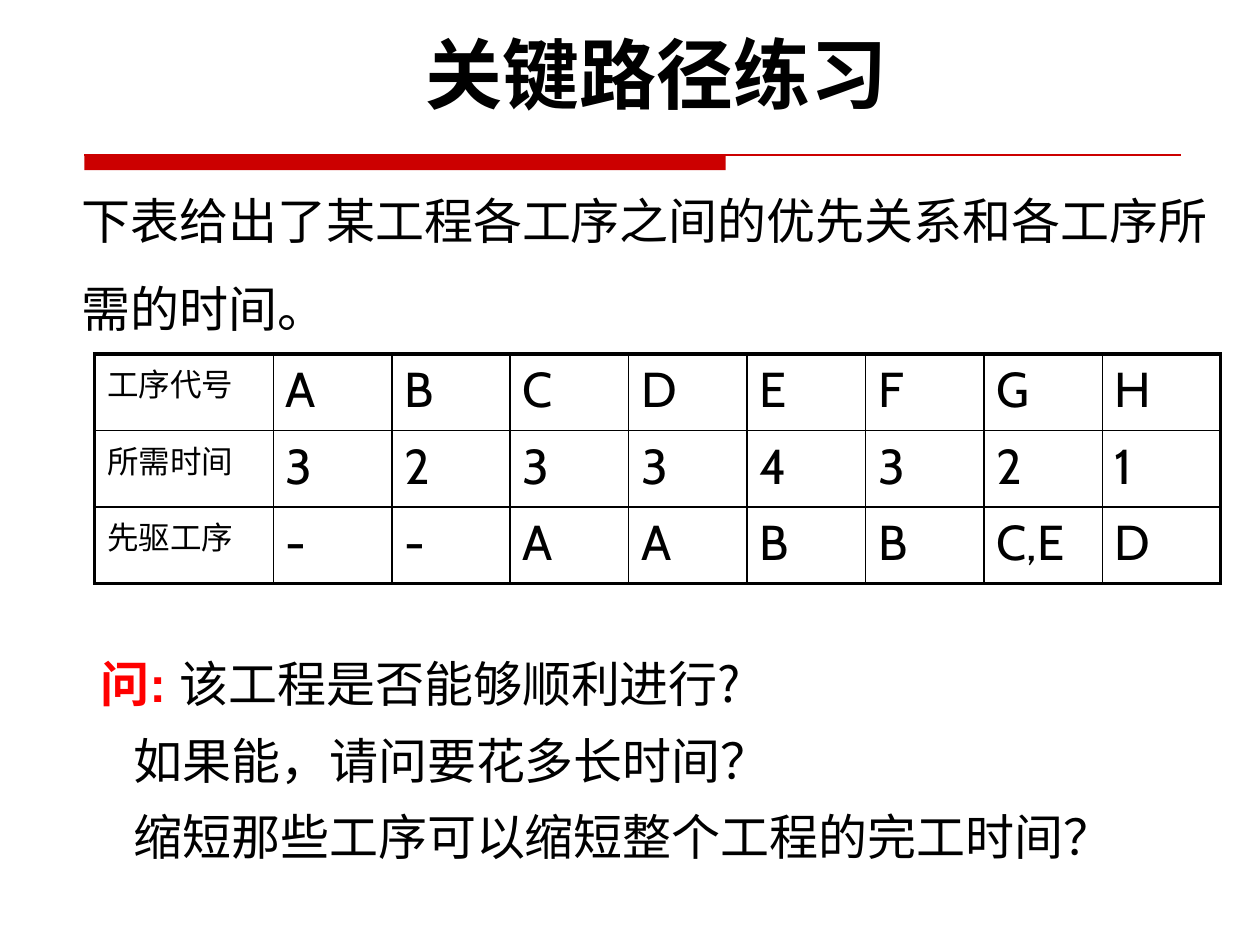
import dataclasses

import pptx
import pptx.dml.color
import pptx.enum.shapes
import pptx.enum.text
import pptx.oxml
import pptx.oxml.ns
import pptx.util

Align = pptx.enum.text.PP_ALIGN
Anchor = pptx.enum.text.MSO_ANCHOR
Pt = pptx.util.Pt
NS = pptx.oxml.ns.nsdecls("a")


@dataclasses.dataclass
class Theme:
    ink: str = "000000"
    rule: str = "CC0000"
    ask: str = "FF0000"
    head: int = 44
    text: int = 28
    label: int = 18
    latin: str = "Cabin"
    plain: str = "Arial"
    han: str = "Noto Sans CJK SC"
    thin: float = 1
    thick: float = 2.25


def tint(code):
    return pptx.dml.color.RGBColor.from_string(code)


def element(xml):
    return pptx.oxml.parse_xml(xml)


def write(para, text, *, size, font, color, han, bold=False):
    """Add one run with its format to a paragraph."""
    run = para.add_run()
    run.text = text
    run.font.size = Pt(size)
    run.font.name = font
    run.font.bold = bold
    run.font.color.rgb = tint(color)
    run.font._element.find(pptx.oxml.ns.qn("a:latin")).addnext(
        element(f'<a:ea {NS} typeface="{han}"/>'))


class Page:
    """Style and current slide; lengths are in a grid of 100 columns by 75 rows."""

    def __init__(self, deck, theme):
        self.theme = theme
        self.unit = deck.slide_width / 100
        self.slide = deck.slides.add_slide(deck.slide_layouts[1])

    def span(self, *cells):
        return [round(cell * self.unit) for cell in cells]

    def place(self, shape, box, anchor):
        shape.left, shape.top, shape.width, shape.height = self.span(*box)
        frame = shape.text_frame
        frame.word_wrap = True
        frame.auto_size = pptx.enum.text.MSO_AUTO_SIZE.NONE
        frame.vertical_anchor = anchor
        return frame

    def put(self, para, text, **style):
        base = dict(size=self.theme.text, font=self.theme.han,
                    color=self.theme.ink, han=self.theme.han)
        write(para, text, **{**base, **style})

    def title(self, text, box):
        para = self.place(self.slide.shapes.title, box, Anchor.MIDDLE).paragraphs[0]
        para.alignment = Align.CENTER
        self.put(para, text, size=self.theme.head, font=self.theme.latin, bold=True)

    def intro(self, text, box):
        shape = self.slide.shapes.add_textbox(0, 0, 0, 0)
        para = self.place(shape, box, Anchor.BOTTOM).paragraphs[0]
        para.line_spacing = 1.5
        self.put(para, text)

    def body(self, lead, lines, box, inset):
        """Fill the body with lines; the lead opens the first, the rest are inset."""
        frame = self.place(self.slide.placeholders[1], box, Anchor.TOP)
        for row, line in enumerate(lines):
            para = frame.add_paragraph() if row else frame.paragraphs[0]
            props = para._p.get_or_add_pPr()
            props.set("marL", str(self.span(inset if row else 0)[0]))
            props.set("indent", "0")
            props.append(element(f"<a:buNone {NS}/>"))
            para.alignment = Align.LEFT
            para.line_spacing = 1.3
            para.space_before = Pt(0)
            if not row:
                self.put(para, lead, font=self.theme.plain,
                         color=self.theme.ask, bold=True)
            self.put(para, line)

    def rule(self, left, top, width, bar, height):
        """Draw a thin line with a solid bar hanging under its left part."""
        shapes = self.slide.shapes
        block = shapes.add_shape(pptx.enum.shapes.MSO_SHAPE.RECTANGLE,
                                 *self.span(left, top, bar, height))
        block.shadow.inherit = False
        block.fill.solid()
        block.fill.fore_color.rgb = tint(self.theme.rule)
        block.line.fill.background()
        line = shapes.add_connector(pptx.enum.shapes.MSO_CONNECTOR.STRAIGHT,
                                    *self.span(left, top, left + width, top))
        line.line.color.rgb = tint(self.theme.rule)
        line.line.width = Pt(0.75)
        line._element.spPr.append(element(f"<a:effectLst {NS}/>"))

    def border(self, cell, edges):
        """Draw the four sides of a cell, thick where the side is an outer edge."""
        props = cell._tc.get_or_add_tcPr()
        for side, outer in edges.items():
            width = Pt(self.theme.thick if outer else self.theme.thin)
            props.append(element(
                f'<a:ln{side} {NS} w="{width}"><a:solidFill>'
                f'<a:srgbClr val="{self.theme.ink}"/></a:solidFill></a:ln{side}>'))

    def table(self, rows, left, top, widths, height):
        tall, wide = len(rows), len(widths)
        grid = self.slide.shapes.add_table(
            tall, wide, *self.span(left, top, sum(widths), height * tall)).table
        grid.first_row = grid.horz_banding = False
        for col, width in zip(grid.columns, self.span(*widths)):
            col.width = width
        for y, row in enumerate(rows):
            grid.rows[y].height = self.span(height)[0]
            for x, text in enumerate(row):
                cell = grid.cell(y, x)
                self.border(cell, {"L": x == 0, "R": x == wide - 1,
                                   "T": y == 0, "B": y == tall - 1})
                cell.fill.background()
                self.put(cell.text_frame.paragraphs[0], text, font=self.theme.latin,
                         size=self.theme.text if x else self.theme.label)


def main():
    deck = pptx.Presentation()
    deck.slide_width = pptx.util.Inches(10)
    deck.slide_height = pptx.util.Inches(7.5)
    page = Page(deck, Theme())
    page.rule(6.7, 12.3, 87, bar=50.9, height=1.2)
    page.table(
        [["工序代号", *"ABCDEFGH"],
         ["所需时间", *"32334321"],
         ["先驱工序", *"--AABB", "C,E", "D"]],
        7.5, 28.1, [14.2] + [9.4] * 8, 6.07)
    page.intro("下表给出了某工程各工序之间的优先关系和各工序所需的时间。",
               (5.5, 14.1, 92.9, 13.2))
    page.body("问: ",
              ["该工程是否能够顺利进行?",
               "如果能，请问要花多长时间？",
               "缩短那些工序可以缩短整个工程的完工时间？"],
              (7, 50, 88.4, 18.5), inset=2.6)
    page.title("关键路径练习", (5.9, 1.6, 92.5, 8.4))
    deck.save("out.pptx")


if __name__ == "__main__":
    main()
